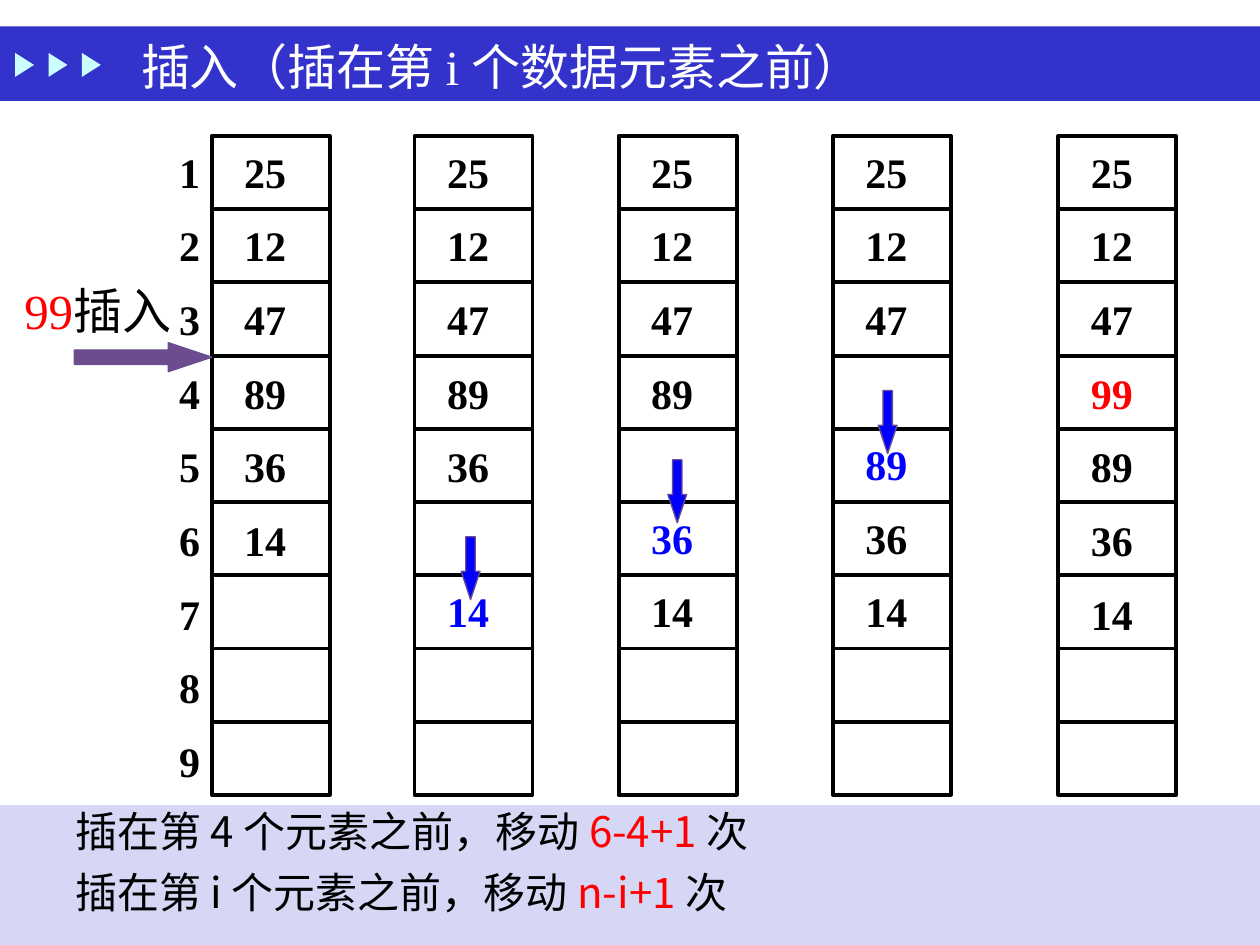
from lxml.etree import SubElement
from pptx import Presentation
from pptx.dml.color import RGBColor
from pptx.enum.shapes import MSO_CONNECTOR as Connector, MSO_SHAPE as Shape
from pptx.enum.text import MSO_ANCHOR as Anchor, PP_ALIGN as Align
from pptx.oxml.ns import qn
from pptx.util import Inches, Pt

COLORS = {
    "background": "FEFFFF", "banner": "3333CC", "marker": "CBFFFF",
    "white": "FFFFFF", "black": "000000", "red": "FF0000", "blue": "0000FF",
    "purple": "6C4C8F", "footer": "D6D6F5",
}
COLUMNS, ROWS = 100, 75
SERIF, SANS = "Times New Roman", "Noto Sans CJK SC"
CELLS, CELL_HEIGHT, ARRAY_WIDTH, ARRAY_TOP = 9, 5.81, 9.37, 10.8
LINE_GAP, LINE_PITCH = 13.3, 40.9


class SlideBuilder:
    def __init__(self, presentation):
        self.slide = presentation.slides.add_slide(presentation.slide_layouts[6])
        self.column = presentation.slide_width / COLUMNS
        self.row = presentation.slide_height / ROWS
        background = self.slide.background.fill
        background.solid()
        background.fore_color.rgb = self.color("background")

    def color(self, name):
        return RGBColor.from_string(COLORS[name])

    def place(self, left, top, width, height):
        return (round(left * self.column), round(top * self.row),
                round(width * self.column), round(height * self.row))

    def shape(self, kind, box, fill, line=None, weight=0.75):
        shape = self.slide.shapes.add_shape(kind, *self.place(*box))
        shape.shadow.inherit = False
        shape.fill.solid()
        shape.fill.fore_color.rgb = self.color(fill)
        if line:
            shape.line.color.rgb = self.color(line)
            shape.line.width = Pt(weight)
        else:
            shape.line.fill.background()
        return shape

    def arrow(self, kind, box, fill):
        arrow = self.shape(kind, box, fill, "purple")
        arrow.adjustments[0], arrow.adjustments[1] = 0.5, 1.5

    def rule(self, left, top, width):
        x, y, length, _ = self.place(left, top, width, 0)
        line = self.slide.shapes.add_connector(Connector.STRAIGHT, x, y, x + length, y)
        line.line.color.rgb = self.color("black")
        line.line.width = Pt(2.25)
        SubElement(line._element.spPr, qn("a:effectLst"))

    def text(self, box):
        return self.slide.shapes.add_textbox(*self.place(*box))

    def add_text(self, shape, paragraphs, size, font=SERIF, bold=False,
                 align=Align.CENTER, anchor=Anchor.TOP):
        frame = shape.text_frame
        frame.word_wrap = True
        frame.vertical_anchor = anchor
        for index, (space, runs) in enumerate(paragraphs):
            paragraph = frame.add_paragraph() if index else frame.paragraphs[0]
            paragraph.alignment = align
            paragraph.space_before = Pt(space)
            for content, color in runs:
                run = paragraph.add_run()
                run.text = content
                run.font.size = Pt(size)
                run.font.bold = bold
                run.font.name = font
                run.font.color.rgb = self.color(color)
                SubElement(run._r.rPr, qn("a:ea"), typeface=SANS)
        return frame

    def numbers(self, left, values, accents):
        paragraphs, space = [], 0
        for value in values:
            if value is None:
                space += LINE_PITCH
                continue
            paragraphs.append((space, [(str(value), accents.get(value, "black"))]))
            space = LINE_GAP
        box = (left, ARRAY_TOP + 0.3, 8.5, CELL_HEIGHT * CELLS)
        self.add_text(self.text(box), paragraphs, 24, bold=True)

    def array(self, left, values, accents):
        box = (left, ARRAY_TOP, ARRAY_WIDTH, CELL_HEIGHT * CELLS)
        self.shape(Shape.RECTANGLE, box, "white", "black", 2.25)
        for cell in range(1, CELLS):
            self.rule(left, ARRAY_TOP + cell * CELL_HEIGHT, ARRAY_WIDTH)
        self.numbers(left, values, accents)


def main():
    presentation = Presentation()
    presentation.slide_width, presentation.slide_height = Inches(10), Inches(7.5)
    builder = SlideBuilder(presentation)

    builder.shape(Shape.RECTANGLE, (0, 2.1, COLUMNS, 5.9), "banner")
    for marker in range(3):
        box = (1 + 2.65 * marker, 4.4, 1.9, 1.5)
        builder.shape(Shape.ISOSCELES_TRIANGLE, box, "marker").rotation = 90
    title = builder.add_text(
        builder.text((8.3, 2.4, 75.7, 5.6)),
        [(0, [("插入（插在第 i 个数据元素之前）", "white")])],
        28, align=Align.LEFT, anchor=Anchor.MIDDLE)
    title.margin_left = Inches(0.29)

    steps = [
        (16.8, [25, 12, 47, 89, 36, 14], {}),
        (32.9, [25, 12, 47, 89, 36, None, 14], {14: "blue"}),
        (49.1, [25, 12, 47, 89, None, 36, 14], {36: "blue"}),
        (66.1, [25, 12, 47, None, 89, 36, 14], {89: "blue"}),
        (84, [25, 12, 47, 99, 89, 36, 14], {99: "red"}),
    ]
    for left, values, accents in steps:
        builder.array(left, values, accents)
    builder.numbers(10.8, range(1, CELLS + 1), {})

    for left, top in [(36.6, 42.6), (53, 36.5), (69.7, 31)]:
        builder.arrow(Shape.DOWN_ARROW, (left, top, 1.5, 5), "blue")
    builder.arrow(Shape.RIGHT_ARROW, (5.9, 27.2, 10.9, 2.3), "purple")
    builder.add_text(builder.text((0, 21.8, 15.5, 5.7)),
                     [(0, [("99", "red"), ("插入", "black")])], 28)

    footer = builder.shape(Shape.RECTANGLE, (0, 63.9, COLUMNS, 11.1), "footer")
    counts = [("4", "6-4+1 "), ("i", "n-i+1 ")]
    lines = [(6 * index, [(f"插在第 {position} 个元素之前，移动 ", "black"),
                          (count, "red"), ("次", "black")])
             for index, (position, count) in enumerate(counts)]
    frame = builder.add_text(footer, lines, 24, font=SANS, align=Align.LEFT)
    frame.margin_left, frame.margin_top = Inches(0.6), 0

    presentation.save("out.pptx")


if __name__ == "__main__":
    main()
